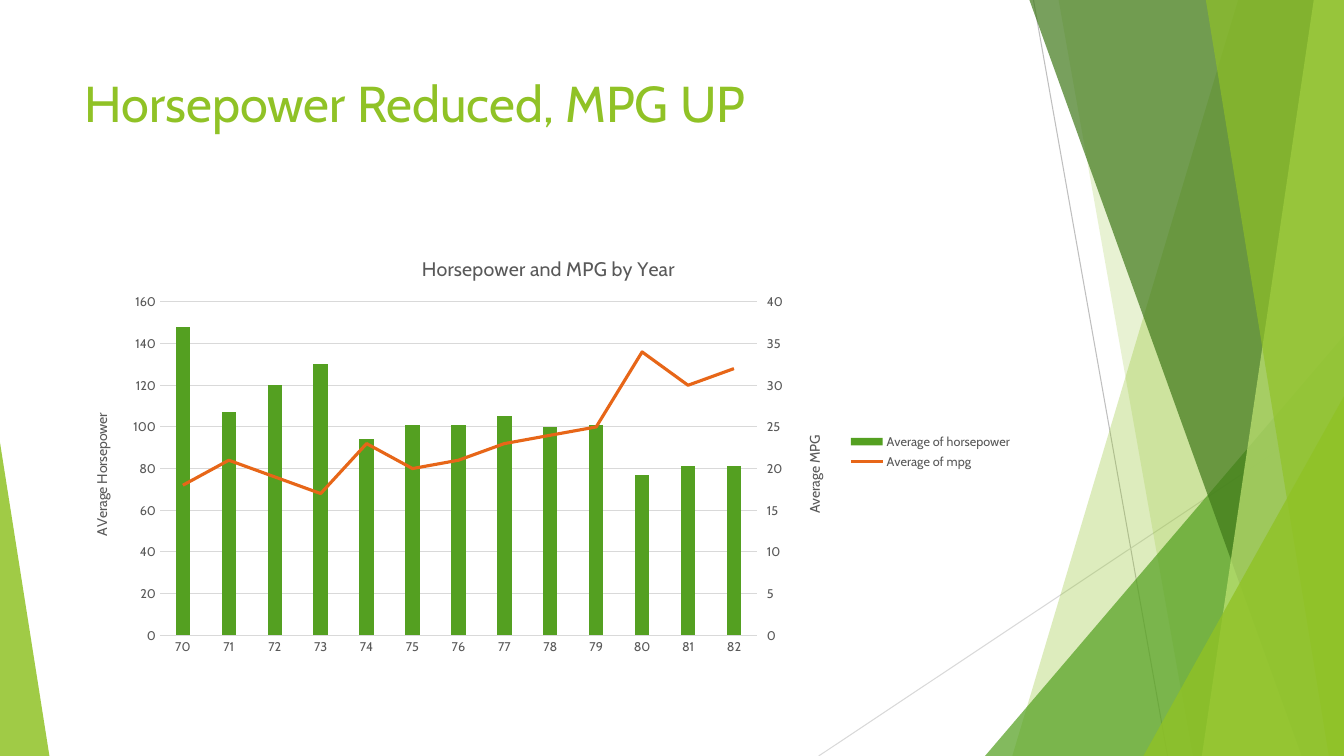
import copy
import lxml.etree
import pptx
import pptx.chart.axis
import pptx.chart.data
import pptx.dml.color
import pptx.enum.chart
import pptx.enum.shapes
import pptx.enum.text
import pptx.oxml
import pptx.oxml.ns
import pptx.util

Inches, Pt = pptx.util.Inches, pptx.util.Pt
RGBColor, qn = pptx.dml.color.RGBColor, pptx.oxml.ns.qn
Shape = pptx.enum.shapes.MSO_SHAPE
Tick = pptx.enum.chart.XL_TICK_MARK

FONT = "Cabin"
LIME = RGBColor(0x90, 0xC2, 0x26)
GREEN = RGBColor(0x54, 0xA0, 0x21)
PINE = RGBColor(0x3F, 0x78, 0x19)
PALE = RGBColor(0xC0, 0xE4, 0x74)
ORANGE = RGBColor(0xE7, 0x66, 0x18)
GRAY = RGBColor(0x59, 0x59, 0x59)
SILVER = RGBColor(0xBF, 0xBF, 0xBF)
MIST = RGBColor(0xD9, 0xD9, 0xD9)

YEARS = [str(year) for year in range(70, 83)]
POWER = [148, 107, 120, 130, 94, 101, 101, 105, 100, 101, 77, 81, 81]
MPG = [18, 21, 19, 17, 23, 20, 21, 23, 24, 25, 34, 30, 32]


def style(font, size, color):
    font.name, font.size, font.bold = FONT, Pt(size), False
    font.color.rgb = color


def write(frame, text, size, color):
    run = frame.paragraphs[0].add_run()
    run.text = text
    style(run.font, size, color)


def child(node, tag, val=None):
    part = lxml.etree.SubElement(node, qn(tag))
    if val is not None:
        part.set("val", str(val))
    return part


# Background facets
def tint(shape, color, alpha):
    shape.shadow.inherit = False
    shape.line.fill.background()
    shape.fill.solid()
    shape.fill.fore_color.rgb = color
    child(shape.element.spPr.find(".//" + qn("a:srgbClr")), "a:alpha", alpha * 1000)


def wedge(slide, left, top, width, height, peak, color, alpha):
    shape = slide.shapes.add_shape(
        Shape.ISOSCELES_TRIANGLE, Inches(left), Inches(top), Inches(width), Inches(height))
    shape.adjustments[0] = peak
    tint(shape, color, alpha)


def band(slide, left, top, width, height, upper, lower, color, alpha):
    right, base = left + width, top + height
    path = slide.shapes.build_freeform(Inches(left + upper), Inches(top))
    path.add_line_segments([(Inches(x), Inches(y)) for x, y in
                            ((right, top), (right, base), (left + lower, base))])
    tint(path.convert_to_shape(), color, alpha)


def rule(slide, x1, y1, x2, y2, color):
    line = slide.shapes.add_connector(
        pptx.enum.shapes.MSO_CONNECTOR.STRAIGHT,
        Inches(x1), Inches(y1), Inches(x2), Inches(y2))
    line.line.color.rgb = color
    line.line.width = Pt(0.75)
    child(line.element.spPr, "a:effectLst")


def facets(slide, left, top, width, height):
    box = left, top, width, height
    right, base = left + width, top + height
    rule(slide, left + 2.13, top, left + 3.46, base, SILVER)
    rule(slide, right, top + 4.03, left, base, MIST)
    band(slide, *box, 4.16, 1.92, LIME, 30)
    band(slide, *box, 2.38, 3.71, LIME, 20)
    wedge(slide, right - 3.56, base - 4.17, 3.56, 4.17, 1, GREEN, 72)
    for part in ((2.09, 4.79, PINE, 70), (4.91, 3.8, PALE, 70), (3.84, 5.06, LIME, 65)):
        band(slide, *box, *part)
    wedge(slide, right - 1.99, base - 3.57, 1.99, 3.57, 1, LIME, 80)


# Heading
def heading(slide, left, top, width, height):
    title = slide.shapes.title
    title.left, title.top = Inches(left), Inches(top)
    title.width, title.height = Inches(width), Inches(height)
    title.element.getparent().append(title.element)
    frame = title.text_frame
    frame.word_wrap = True
    frame.vertical_anchor = pptx.enum.text.MSO_ANCHOR.TOP
    frame.paragraphs[0].alignment = pptx.enum.text.PP_ALIGN.LEFT
    write(frame, "Horsepower Reduced, MPG UP", 36, LIME)


# Chart
def scale(axis, text, top, step, tick):
    axis.minimum_scale, axis.maximum_scale, axis.major_unit = 0, top, step
    axis.major_tick_mark, axis.minor_tick_mark = tick, Tick.NONE
    axis.format.line.fill.background()
    style(axis.tick_labels.font, 9, GRAY)
    frame = axis.axis_title.text_frame
    write(frame, text, 10, GRAY)
    body = frame.paragraphs[0]._p.getparent().find(qn("a:bodyPr"))
    body.set("rot", "-5400000")
    body.set("vert", "horz")


def split(chart):
    """Moves the second series to a line on its own right axis."""
    bars = chart.plots[0].series[0]._element.getparent()
    area = bars.getparent()
    cat, val = area.find(qn("c:catAx")), area.find(qn("c:valAx"))
    ser = bars.findall(qn("c:ser"))[1]
    for flag in ser.findall(qn("c:invertIfNegative")):
        ser.remove(flag)
    line = pptx.oxml.parse_xml("<c:lineChart %s/>" % pptx.oxml.ns.nsdecls("c"))
    child(line, "c:grouping", "standard")
    child(line, "c:varyColors", 0)
    line.append(ser)
    child(line, "c:marker", 1)
    ids = {"cat": "5001", "val": "5002"}
    for name in ids.values():
        child(line, "c:axId", name)
    bars.addnext(line)
    side, base = copy.deepcopy(val), copy.deepcopy(cat)
    for axis, own, other in ((side, "val", "cat"), (base, "cat", "val")):
        axis.find(qn("c:axId")).set("val", ids[own])
        axis.find(qn("c:crossAx")).set("val", ids[other])
    side.find(qn("c:axPos")).set("val", "r")
    side.find(qn("c:crosses")).set("val", "max")
    base.find(qn("c:delete")).set("val", "1")
    val.addnext(side)
    side.addnext(base)
    return pptx.chart.axis.ValueAxis(side)


def place(chart, x, y, w, h):
    area = chart.plots[0].series[0]._element.getparent().getparent()
    for old in area.findall(qn("c:layout")):
        area.remove(old)
    layout = pptx.oxml.parse_xml("<c:layout %s/>" % pptx.oxml.ns.nsdecls("c"))
    spot = child(layout, "c:manualLayout")
    for tag, val in (("layoutTarget", "inner"), ("xMode", "edge"), ("yMode", "edge"),
                     ("x", x), ("y", y), ("w", w), ("h", h)):
        child(spot, "c:" + tag, val)
    area.insert(0, layout)


def graph(slide, left, top, width, height):
    data = pptx.chart.data.CategoryChartData()
    data.categories = YEARS
    data.add_series("Average of horsepower", POWER)
    data.add_series("Average of mpg", MPG)
    chart = slide.shapes.add_chart(
        pptx.enum.chart.XL_CHART_TYPE.COLUMN_CLUSTERED, Inches(left), Inches(top),
        Inches(width), Inches(height), data).chart
    style(chart.font, 10, GRAY)
    chart.has_title = True
    write(chart.chart_title.text_frame, "Horsepower and MPG by Year", 14, GRAY)

    chart.has_legend = True
    chart.legend.position = pptx.enum.chart.XL_LEGEND_POSITION.RIGHT
    chart.legend.include_in_layout = False
    style(chart.legend.font, 9, GRAY)

    # Axes
    years, power = chart.category_axis, chart.value_axis
    years.major_tick_mark = Tick.NONE
    years.format.line.color.rgb = MIST
    years.format.line.width = Pt(0.75)
    style(years.tick_labels.font, 9, GRAY)
    side = split(chart)
    side.has_major_gridlines = False
    scale(power, "AVerage Horsepower", 160, 20, Tick.NONE)
    scale(side, "Average MPG", 40, 5, Tick.OUTSIDE)
    grid = power.major_gridlines.format.line
    grid.color.rgb, grid.width = MIST, Pt(0.75)

    # Series
    bars, lines = chart.plots
    bars.gap_width, bars.vary_by_categories = 219, False
    fill = bars.series[0].format.fill
    fill.solid()
    fill.fore_color.rgb = GREEN
    curve = lines.series[0]
    curve.smooth = False
    curve.marker.style = pptx.enum.chart.XL_MARKER_STYLE.NONE
    curve.format.line.color.rgb = ORANGE
    curve.format.line.width = Pt(2.25)
    place(chart, 0.09, 0.15, 0.63, 0.78)


deck = pptx.Presentation()
deck.slide_width, deck.slide_height = Inches(13.33), Inches(7.5)
page = deck.slides.add_slide(deck.slide_layouts[5])
facets(page, 8.12, 0, 5.21, 7.5)
wedge(page, 0, 4.39, 0.49, 3.11, 0, LIME, 85)
heading(page, 0.74, 0.67, 9.4, 1.44)
graph(page, 0.74, 2.36, 9.4, 4.24)
deck.save("out.pptx")
